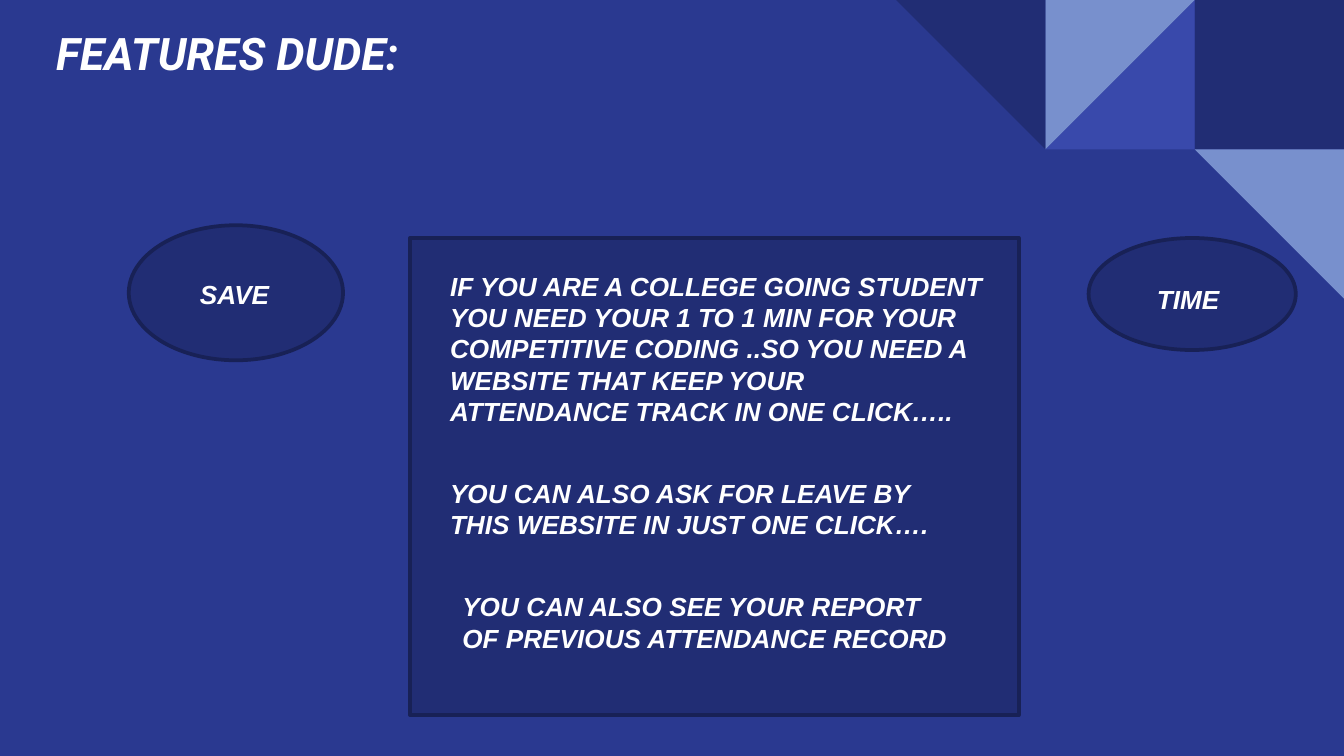
from dataclasses import dataclass

from pptx import Presentation
from pptx.dml.color import RGBColor
from pptx.enum import shapes, text
from pptx.util import Pt


@dataclass(frozen=True)
class Theme:
    """Colours, fonts and type sizes of the slide."""
    background: str = "2A3990"
    navy: str = "212D74"
    outline: str = "182156"
    indigo: str = "3949AB"
    sky: str = "7890CD"
    white: str = "FFFFFF"
    heading_font: str = "Roboto"
    body_font: str = "Arial"
    heading_size: float = 24
    body_size: float = 14


THEME = Theme()
TILE = 80
TILES_LEFT = 480


def paint(fill, colour):
    """Give a fill one solid colour."""
    fill.solid()
    fill.fore_color.rgb = RGBColor.from_string(colour)


def add_panel(slide, preset, box, colour, outline=None, rotation=0):
    """Add a filled preset shape, outlined if a line colour is given."""
    panel = slide.shapes.add_shape(preset, *map(Pt, box))
    panel.shadow.inherit = False
    panel.rotation = rotation
    paint(panel.fill, colour)
    if outline:
        paint(panel.line.fill, outline)
        panel.line.width = Pt(2)
    else:
        panel.line.fill.background()


def add_tile(slide, preset, column, row, colour, rotation=0):
    """Add one square of the corner mosaic by its grid position."""
    box = (TILES_LEFT + column * TILE, row * TILE, TILE, TILE)
    add_panel(slide, preset, box, colour, rotation=rotation)


def add_words(slide, wording, box, font=THEME.body_font, size=THEME.body_size,
              anchor=text.MSO_ANCHOR.TOP, inset=3.6):
    """Add a wrapped text box in bold white italics."""
    frame = slide.shapes.add_textbox(*map(Pt, box)).text_frame
    frame.word_wrap = True
    frame.vertical_anchor = anchor
    frame.margin_top = frame.margin_bottom = Pt(inset)
    frame.margin_left = frame.margin_right = Pt(7.2)
    run = frame.paragraphs[0].add_run()
    run.text = wording
    run.font.name = font
    run.font.size = Pt(size)
    run.font.bold = run.font.italic = True
    run.font.color.rgb = RGBColor.from_string(THEME.white)


def add_mosaic(slide):
    """Build the geometric corner."""
    square = shapes.MSO_SHAPE.RECTANGLE
    triangle = shapes.MSO_SHAPE.RIGHT_TRIANGLE
    for preset, column, row, colour, rotation in (
        (square, 2, 0, THEME.navy, 0),
        (triangle, 1, 0, THEME.indigo, 270),
        (triangle, 1, 0, THEME.sky, 90),
        (triangle, 0, 0, THEME.navy, 180),
        (triangle, 2, 1, THEME.sky, 180),
    ):
        add_tile(slide, preset, column, row, colour, rotation)


def main():
    """Build and save the features slide."""
    deck = Presentation()
    deck.slide_width, deck.slide_height = Pt(720), Pt(405)
    slide = deck.slides.add_slide(deck.slide_layouts[6])
    paint(slide.background.fill, THEME.background)
    add_mosaic(slide)
    add_words(slide, "FEATURES DUDE:", (23, 13.7, 647, 36),
              font=THEME.heading_font, size=THEME.heading_size,
              anchor=text.MSO_ANCHOR.BOTTOM, inset=7.2)

    oval, card = shapes.MSO_SHAPE.OVAL, shapes.MSO_SHAPE.RECTANGLE
    for preset, box in (
        (oval, (69, 120.7, 114.8, 72.3)),
        (card, (219.6, 127.5, 326.2, 255.6)),
        (oval, (583.2, 127.5, 111, 60)),
    ):
        add_panel(slide, preset, box, THEME.navy, outline=THEME.outline)

    for wording, box in (
        ("IF YOU ARE A COLLEGE GOING STUDENT YOU NEED YOUR 1 TO 1 MIN FOR "
         "YOUR COMPETITIVE CODING ..SO YOU NEED A WEBSITE THAT KEEP YOUR "
         "ATTENDANCE TRACK IN ONE CLICK…..", (234, 141.1, 301, 92.2)),
        ("YOU CAN ALSO ASK FOR LEAVE BY THIS WEBSITE IN JUST ONE CLICK….",
         (234, 252.2, 293.8, 41.2)),
        ("YOU CAN ALSO SEE YOUR REPORT OF PREVIOUS ATTENDANCE RECORD",
         (240.6, 312.8, 276.5, 41.2)),
        ("SAVE", (100, 145.6, 89.3, 24.2)),
        ("TIME", (612.7, 148.3, 75.6, 24.2)),
    ):
        add_words(slide, wording, box)
    deck.save("out.pptx")


if __name__ == "__main__":
    main()
